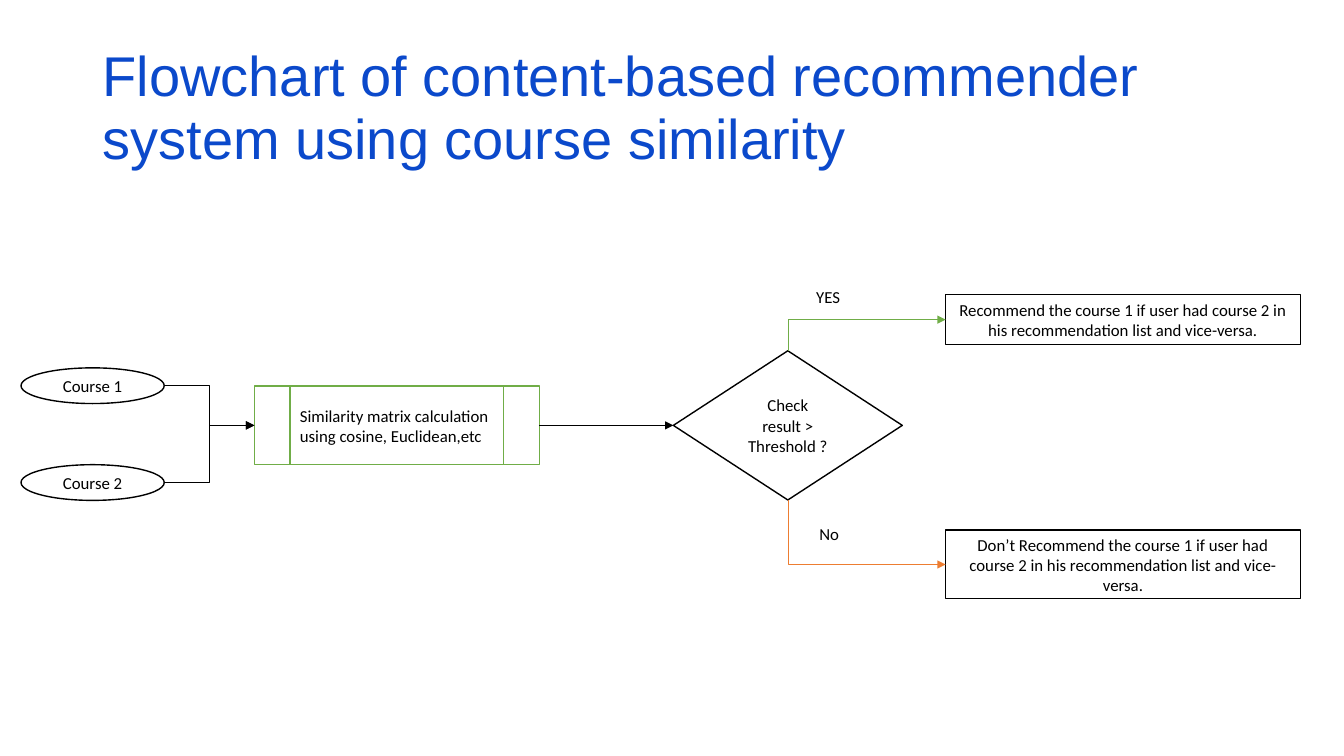
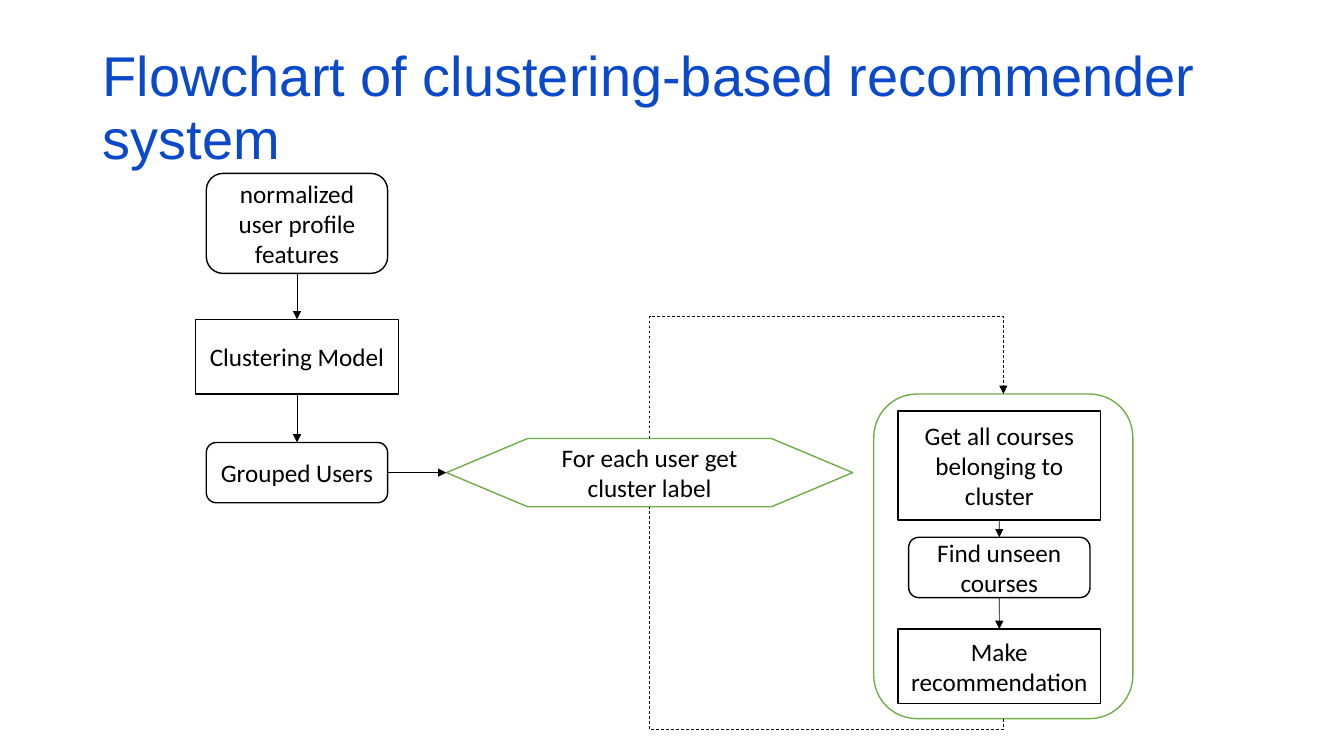
from dataclasses import dataclass

from lxml import etree
from pptx import Presentation
from pptx.dml.color import RGBColor
from pptx.enum.dml import MSO_LINE
from pptx.enum.shapes import MSO_CONNECTOR, MSO_SHAPE
from pptx.enum.text import MSO_ANCHOR, PP_ALIGN
from pptx.oxml.ns import qn
from pptx.shapes.autoshape import Shape
from pptx.slide import Slide
from pptx.util import Cm, Pt

OVAL = MSO_SHAPE.OVAL
RECT = MSO_SHAPE.RECTANGLE
ROUND = MSO_SHAPE.ROUNDED_RECTANGLE
CHOICE = MSO_SHAPE.FLOWCHART_DECISION
PROCESS = MSO_SHAPE.FLOWCHART_PREDEFINED_PROCESS
LOOP = MSO_SHAPE.FLOWCHART_PREPARATION
STRAIGHT, ELBOW = MSO_CONNECTOR.STRAIGHT, MSO_CONNECTOR.ELBOW
LEFT, CENTER = PP_ALIGN.LEFT, PP_ALIGN.CENTER
TOP_ANCHOR, MIDDLE = MSO_ANCHOR.TOP, MSO_ANCHOR.MIDDLE
DASH = MSO_LINE.DASH

TOP, WEST, BASE, EAST = range(4)
OVAL_EAST = 6
BLACK, WHITE, BLUE = "000000", "FFFFFF", "0B49CB"
GREEN, ORANGE = "70AD47", "ED7D31"
BODY, HEAD = "Calibri", "Arial"
WIDE, SLIM = 5.11, 4.57


@dataclass
class Node:
    name: str
    kind: MSO_SHAPE
    x: float
    y: float
    w: float
    h: float
    text: str = ""
    line: str = BLACK
    fill: str | None = WHITE
    align: PP_ALIGN = CENTER


@dataclass
class Link:
    start: str
    out: int
    end: str
    into: int
    color: str = BLACK
    bent: bool = False
    dash: bool = False
    arrow: bool = True
    bend: float | None = None


@dataclass
class Label:
    text: str
    x: float
    y: float


@dataclass
class Chart:
    title: str
    size: int
    nodes: list[Node]
    links: list[Link]
    labels: list[Label]


def paint(code: str) -> RGBColor:
    return RGBColor.from_string(code)


def write(shape: Shape, text: str, size: int, align: PP_ALIGN = LEFT,
          anchor: MSO_ANCHOR = TOP_ANCHOR, color: str = BLACK,
          face: str = BODY, pitch: float = 1.0) -> None:
    frame = shape.text_frame
    frame.word_wrap = True
    frame.vertical_anchor = anchor
    frame.text = text
    for para in frame.paragraphs:
        para.alignment = align
        para.line_spacing = pitch
        para.font.name = face
        para.font.size = Pt(size)
        para.font.color.rgb = paint(color)


def add_text(slide: Slide, x: float, y: float, w: float, h: float) -> Shape:
    return slide.shapes.add_textbox(Cm(x), Cm(y), Cm(w), Cm(h))


def add_node(slide: Slide, node: Node, size: int) -> Shape:
    shape = slide.shapes.add_shape(
        node.kind, Cm(node.x), Cm(node.y), Cm(node.w), Cm(node.h))
    shape.shadow.inherit = False
    if node.fill:
        shape.fill.solid()
        shape.fill.fore_color.rgb = paint(node.fill)
    else:
        shape.fill.background()
    shape.line.color.rgb = paint(node.line)
    shape.line.width = Pt(1)
    if node.text:
        write(shape, node.text, size, node.align, MIDDLE)
    return shape


def turn(wire, corner: bool, bend: float | None) -> None:
    """Make an elbow leave its start up or down instead of sideways."""
    dx, dy = wire.end_x - wire.begin_x, wire.end_y - wire.begin_y
    mid_x, mid_y = (wire.begin_x + wire.end_x) // 2, (wire.begin_y + wire.end_y) // 2
    wire.width, wire.height = abs(dy), abs(dx)
    wire.left, wire.top = mid_x - abs(dy) // 2, mid_y - abs(dx) // 2
    props = wire._element.spPr
    frame = props.find(qn("a:xfrm"))
    frame.set("rot", str((270 if dy > 0 else 90) * 60000))
    frame.set("flipH", "1")
    frame.set("flipV", str(int((dx > 0) != (dy > 0))))
    form = props.find(qn("a:prstGeom"))
    if corner:
        form.set("prst", "bentConnector2")
    if bend is not None:
        guides = form.find(qn("a:avLst"))
        if guides is None:
            guides = etree.SubElement(form, qn("a:avLst"))
        etree.SubElement(guides, qn("a:gd"), name="adj1",
                         fmla=f"val {round(bend * 100000)}")


def add_link(slide: Slide, link: Link, shapes: dict[str, Shape]) -> None:
    wire = slide.shapes.add_connector(ELBOW if link.bent else STRAIGHT, 0, 0, 0, 0)
    start, end = shapes[link.start], shapes[link.end]
    wire.begin_connect(start, link.out)
    wire.end_connect(end, link.into)
    if start.auto_shape_type == OVAL:
        wire._element.find(".//" + qn("a:stCxn")).set("idx", str(OVAL_EAST))
    if link.bent and link.out in (TOP, BASE):
        turn(wire, link.into in (WEST, EAST), link.bend)
    wire.line.color.rgb = paint(link.color)
    wire.line.width = Pt(0.5)
    if link.dash:
        wire.line.dash_style = DASH
    props = wire._element.spPr
    if link.arrow:
        etree.SubElement(props.find(qn("a:ln")), qn("a:tailEnd"), type="triangle")
    etree.SubElement(props, qn("a:effectLst"))


def draw(slide: Slide, chart: Chart) -> None:
    shapes = {node.name: add_node(slide, node, chart.size) for node in chart.nodes}
    for link in chart.links:
        add_link(slide, link, shapes)
    for label in chart.labels:
        write(add_text(slide, label.x, label.y, 1.98, 0.76), label.text, chart.size)
    write(add_text(slide, 2.34, 1.01, 29.21, 3.68), chart.title, 40,
          color=BLUE, face=HEAD, pitch=0.95)


CONTENT = Chart(
    "Flowchart of content-based recommender system using course similarity", 12,
    [
        *(Node(f"course {n}", OVAL, 0.53, 9.27 + 2.44 * (n - 1), 3.61, 0.9,
               f"Course {n}") for n in (1, 2)),
        Node("matrix", PROCESS, 6.41, 9.73, 7.18, 1.98,
             "Similarity matrix calculation using cosine, Euclidean,etc",
             line=GREEN, align=LEFT),
        Node("check", CHOICE, 16.97, 8.84, 5.77, 3.76, "Check\nresult > Threshold ?"),
        Node("yes", RECT, 23.83, 7.42, 8.94, 1.27,
             "Recommend the course 1 if user had course 2 in his "
             "recommendation list and vice-versa."),
        Node("no", RECT, 23.83, 13.36, 8.94, 1.73,
             "Don’t Recommend the course 1 if user had course 2 in his "
             "recommendation list and vice-versa."),
    ],
    [
        Link("course 1", EAST, "matrix", WEST, bent=True),
        Link("course 2", EAST, "matrix", WEST, bent=True),
        Link("matrix", EAST, "check", WEST),
        Link("check", TOP, "yes", WEST, GREEN, bent=True),
        Link("check", BASE, "no", WEST, ORANGE, bent=True),
    ],
    [Label("YES", 20.32, 7.09), Label("No", 20.4, 13.08)],
)

CLUSTER = Chart(
    "Flowchart of clustering-based recommender system", 18,
    [
        Node("frame", ROUND, 22.02, 9.93, 6.53, 8.18, line=GREEN),
        Node("input", ROUND, 5.2, 4.37, SLIM, 2.52,
             "normalized user profile features", fill=None),
        Node("model", RECT, 4.93, 8.05, WIDE, 1.88, "Clustering Model"),
        Node("groups", ROUND, 5.2, 11.15, SLIM, 1.52, "Grouped Users", fill=None),
        Node("loop", LOOP, 11.25, 11.05, 10.24, 1.72,
             "For each user get cluster label", line=GREEN),
        Node("get", RECT, 22.63, 10.36, WIDE, 2.75,
             "Get all courses belonging to cluster"),
        Node("find", ROUND, 22.9, 13.54, SLIM, 1.52, "Find unseen courses", fill=None),
        Node("make", RECT, 22.63, 15.85, WIDE, 1.88, "Make recommendation"),
    ],
    [
        *(Link(start, BASE, end, TOP) for start, end in (
            ("input", "model"), ("model", "groups"), ("get", "find"), ("find", "make"))),
        Link("groups", EAST, "loop", WEST),
        Link("loop", TOP, "frame", TOP, bent=True, dash=True, bend=2.75),
        Link("frame", BASE, "loop", BASE, bent=True, dash=True, arrow=False, bend=-0.05),
    ],
    [],
)


def main() -> None:
    deck = Presentation()
    deck.slide_width, deck.slide_height = Cm(33.87), Cm(19.05)
    for chart in (CONTENT, CLUSTER):
        draw(deck.slides.add_slide(deck.slide_layouts[6]), chart)
    deck.save("out.pptx")


if __name__ == "__main__":
    main()
